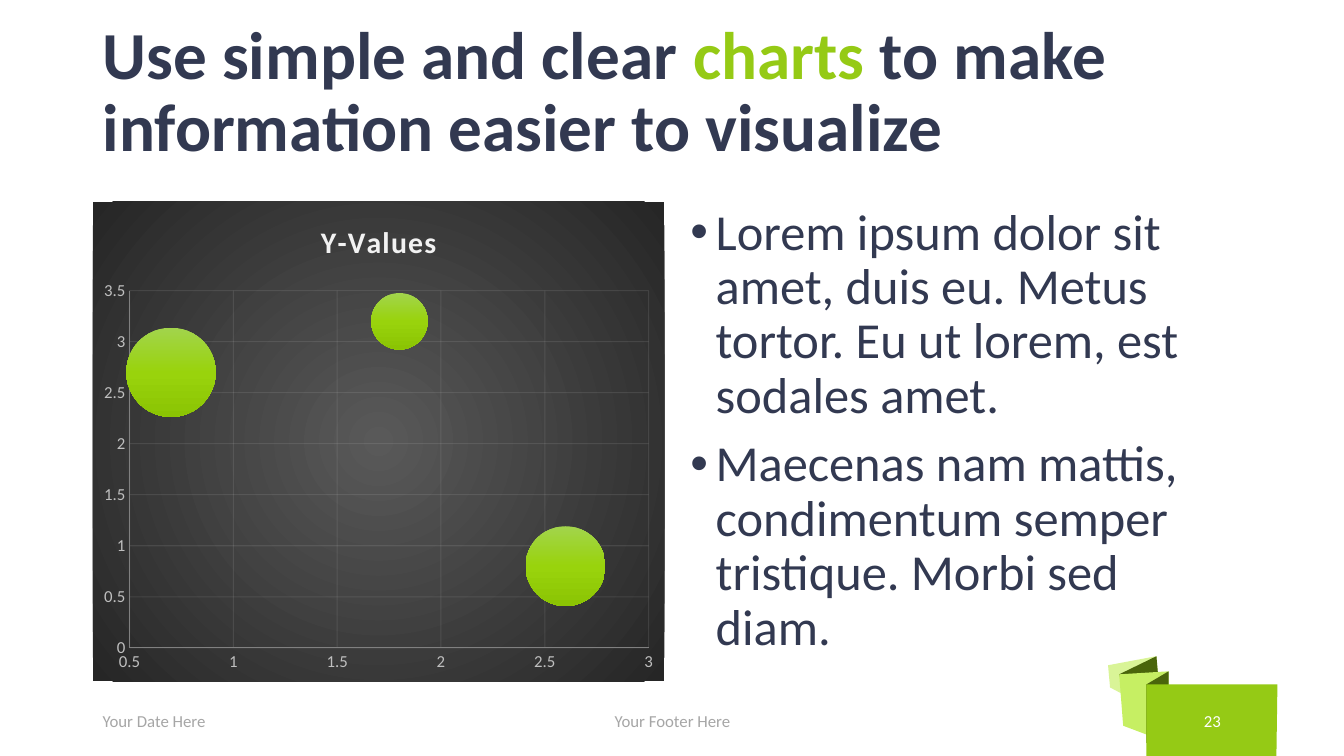
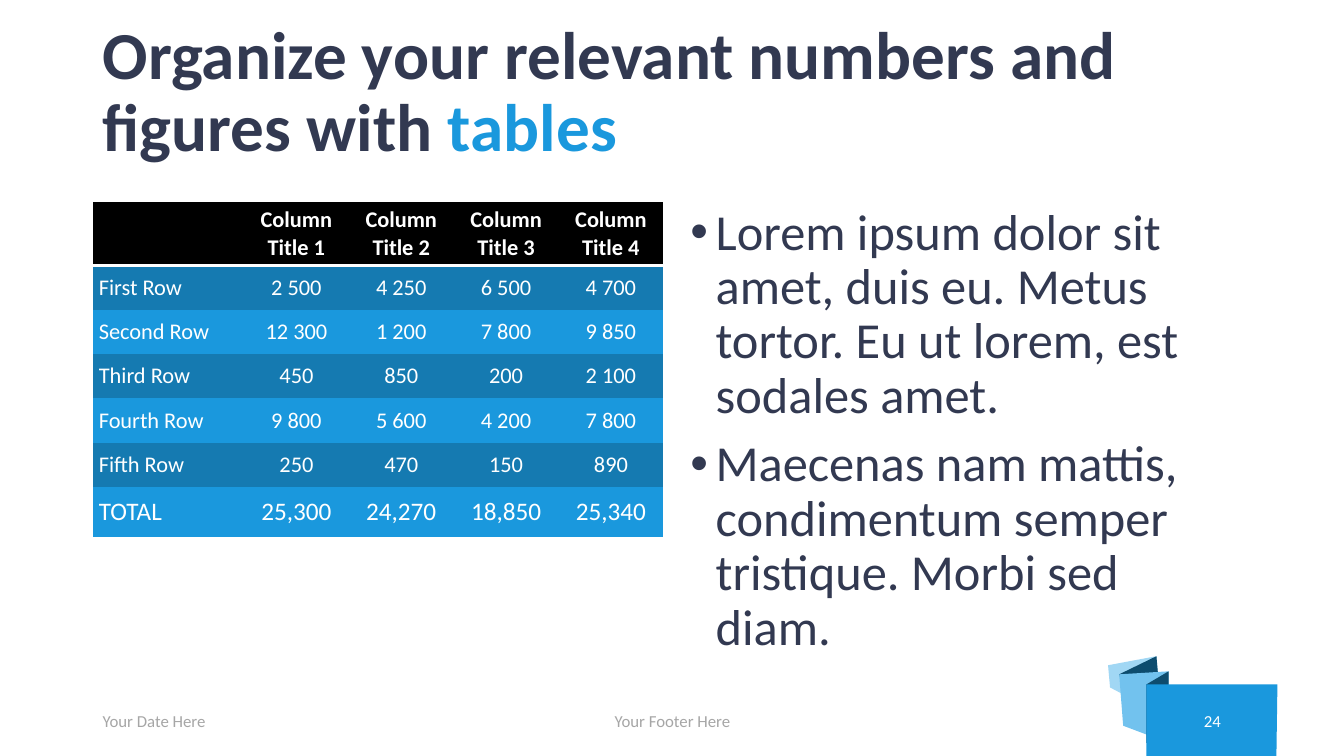
from lxml import etree
from pptx import Presentation
from pptx import util as u
from pptx.chart.data import BubbleChartData
from pptx.dml.color import RGBColor
from pptx.enum import chart as kinds, text
from pptx.oxml import parse_xml
from pptx.oxml.ns import nsdecls, qn

PX = 9144  # 100 px to the inch
FONT = "Calibri"
INK, GREY, WHITE = "323951", "A6A6A6", "FFFFFF"
GREEN, BLUE = "95CA15", "1A98DD"
LEFT, MID = text.PP_ALIGN.LEFT, text.PP_ALIGN.CENTER
TOP, MIDDLE = text.MSO_ANCHOR.TOP, text.MSO_ANCHOR.MIDDLE

BODY = [
    "Lorem ipsum dolor sit amet, duis eu. Metus tortor. Eu ut lorem, est sodales amet.",
    "Maecenas nam mattis, condimentum semper tristique. Morbi sed diam.",
]
# Ribbon folds from back to front: tone index and outline
FOLDS = [
    (0, [(1152, 709), (1101, 682), (1099, 660), (1147, 651)]),
    (1, [(1127, 720), (1152, 709), (1147, 651), (1110, 669)]),
    (2, [(1110, 669), (1159, 666), (1159, 737), (1114, 720)]),
    (1, [(1159, 737), (1137, 737), (1137, 679), (1159, 666)]),
    (3, [(1137, 679), (1267, 679), (1266, 750), (1137, 750)]),
]
PAGES = [
    ("23", ["D9F497", "4A650B", "C6EF63", GREEN],
     [("Use simple and clear ", INK), ("charts", GREEN),
      (" to make information easier to visualize", INK)]),
    ("24", ["A1D7F4", "0D4C6E", "72C2EE", BLUE],
     [("Organize your relevant numbers and figures with ", INK), ("tables", BLUE)]),
]


def rgb(code):
    return RGBColor.from_string(code)


def write(frame, paras, size, align=LEFT, anchor=MIDDLE, bold=False):
    """Fill a text frame; each paragraph is a list of (words, colour) runs."""
    frame.word_wrap = True
    frame.vertical_anchor = anchor
    for i, runs in enumerate(paras):
        para = frame.add_paragraph() if i else frame.paragraphs[0]
        para.alignment = align
        for words, code in runs:
            run = para.add_run()
            run.text = words
            font = run.font
            font.name, font.size, font.bold = FONT, u.Pt(size), bold
            font.color.rgb = rgb(code)


deck = Presentation()
deck.slide_width, deck.slide_height = 1333 * PX, 750 * PX
slides = []

# Shared parts: ribbon, title, body, footer
for number, tones, title in PAGES:
    slide = deck.slides.add_slide(deck.slide_layouts[6])
    slides.append(slide)
    ribbon = slide.shapes.add_group_shape()
    for tone, points in FOLDS:
        pen = ribbon.shapes.build_freeform(*points[0], scale=PX)
        pen.add_line_segments(points[1:], close=True)
        fold = pen.convert_to_shape()
        fold.shadow.inherit = False
        fold.fill.solid()
        fold.fill.fore_color.rgb = rgb(tones[tone])
        fold.line.fill.background()

    blocks = [
        ((92, 31, 1150, 124), [title], 48, LEFT, MIDDLE, True),
        ((675, 200, 567, 476), [[(words, INK)] for words in BODY], 36, LEFT, TOP),
        ((92, 695, 300, 40), [[("Your Date Here", GREY)]], 12),
        ((442, 695, 450, 40), [[("Your Footer Here", GREY)]], 12, MID),
        ((1163, 695, 79, 40), [[(number, WHITE)]], 12, MID),
    ]
    frames = []
    for box, *rest in blocks:
        frame = slide.shapes.add_textbox(*[n * PX for n in box]).text_frame
        write(frame, *rest)
        frames.append(frame)
    for para in [*frames[0].paragraphs, *frames[1].paragraphs]:
        para.line_spacing = 0.9
    for para in frames[1].paragraphs:
        para.space_before = u.Pt(10)
        props = para._p.get_or_add_pPr()
        props.set("marL", str(25 * PX))
        props.set("indent", str(-25 * PX))
        etree.SubElement(props, qn("a:buFont")).set("typeface", "Arial")
        etree.SubElement(props, qn("a:buChar")).set("char", "•")

# Bubble chart
data = BubbleChartData()
points = data.add_series("Y-Values")
for x, y, size in [(0.7, 2.7, 10), (1.8, 3.2, 4), (2.6, 0.8, 8)]:
    points.add_data_point(x, y, size)
chart = slides[0].shapes.add_chart(
    kinds.XL_CHART_TYPE.BUBBLE, 92 * PX, 200 * PX, 567 * PX, 476 * PX, data).chart
chart.has_legend = False
chart.font.name, chart.font.size = FONT, u.Pt(10)

chart.has_title = True
chart.chart_title.include_in_layout = False
run = chart.chart_title.text_frame.paragraphs[0].add_run()
run.text = "Y-Values"
run.font.name, run.font.size, run.font.bold = FONT, u.Pt(21.3), True
run.font.color.rgb = rgb("F2F2F2")
run._r.get_or_add_rPr().set("spc", "100")

for axis, low, high in [(chart.category_axis, 0.5, 3), (chart.value_axis, 0, 3.5)]:
    axis.minimum_scale, axis.maximum_scale, axis.major_unit = low, high, 0.5
    axis.major_tick_mark = axis.minor_tick_mark = kinds.XL_TICK_MARK.NONE
    font = axis.tick_labels.font
    font.name, font.size, font.bold = FONT, u.Pt(12), False
    font.color.rgb = rgb("BFBFBF")
    axis.has_major_gridlines = True
    grid = axis.major_gridlines.format.line
    for line, code in [(axis.format.line, "808080"), (grid, "F2F2F2")]:
        line.width = u.Pt(0.75)
        line.color.rgb = rgb(code)
for lines in chart.element.iter(qn("c:majorGridlines")):
    tint = lines.find(".//" + qn("a:srgbClr"))
    etree.SubElement(tint, qn("a:alpha")).set("val", "10000")

# Gradients: a glow behind the chart, a vertical blend on the bubbles
glow = '<a:path path="circle"><a:fillToRect l="50000" t="50000" r="50000" b="50000"/></a:path>'
blend = '<a:lin ang="5400000" scaled="0"/>'
fills = []
for stops, way in [([(0, "595959"), (100, "262626")], glow),
                   ([(0, "A2D44C"), (50, "99D30C"), (100, "8BC403")], blend)]:
    marks = "".join(f'<a:gs pos="{at * 1000}"><a:srgbClr val="{code}"/></a:gs>'
                    for at, code in stops)
    fills.append(parse_xml(f'<a:gradFill {nsdecls("a")} rotWithShape="1">'
                           f'<a:gsLst>{marks}</a:gsLst>{way}</a:gradFill>'))
back = parse_xml(f'<c:spPr {nsdecls("c", "a")}><a:ln><a:noFill/></a:ln></c:spPr>')
back.insert(0, fills[0])
chart.element.find(qn("c:chart")).addnext(back)
series = chart.plots[0].series[0]
series.format.line.fill.background()
series.format.fill.solid()
solid = series._element.find(qn("c:spPr")).find(qn("a:solidFill"))
solid.getparent().replace(solid, fills[1])

# Table
ROWS = [
    ["", "Column Title 1", "Column Title 2", "Column Title 3", "Column Title 4"],
    ["First Row", "2 500", "4 250", "6 500", "4 700"],
    ["Second Row", "12 300", "1 200", "7 800", "9 850"],
    ["Third Row", "450", "850", "200", "2 100"],
    ["Fourth Row", "9 800", "5 600", "4 200", "7 800"],
    ["Fifth Row", "250", "470", "150", "890"],
    ["TOTAL", "25,300", "24,270", "18,850", "25,340"],
]
LAST = len(ROWS) - 1
holder = slides[1].shapes.add_table(
    len(ROWS), len(ROWS[0]), 92 * PX, 200 * PX, 566 * PX, 336 * PX)
for style in holder.element.iter(qn("a:tableStyleId")):
    style.text = "{2D5ABB26-0587-4C30-8999-92F81FD0307C}"  # no style, no grid
table = holder.table
table.horz_banding = False
for c, col in enumerate(table.columns):
    col.width = (104 if c else 150) * PX
for r, row in enumerate(ROWS):
    table.rows[r].height = (50 if r == LAST else 44) * PX
    for c, words in enumerate(row):
        cell = table.cell(r, c)
        cell.margin_left = cell.margin_right = 6 * PX
        cell.margin_top = cell.margin_bottom = 5 * PX
        cell.vertical_anchor = MIDDLE
        if words:
            write(cell.text_frame, [[(words, WHITE)]], 18 if r == LAST else 16,
                  MID if c else LEFT, MIDDLE, r == 0)
        if r == 0:
            edge = etree.SubElement(cell._tc.get_or_add_tcPr(), qn("a:lnB"))
            edge.set("w", str(u.Pt(2)))
            ink = etree.SubElement(edge, qn("a:solidFill"))
            etree.SubElement(ink, qn("a:srgbClr")).set("val", WHITE)
        cell.fill.solid()
        cell.fill.fore_color.rgb = rgb("000000" if r == 0 else "157AB1" if r % 2 else BLUE)

deck.save("out.pptx")
